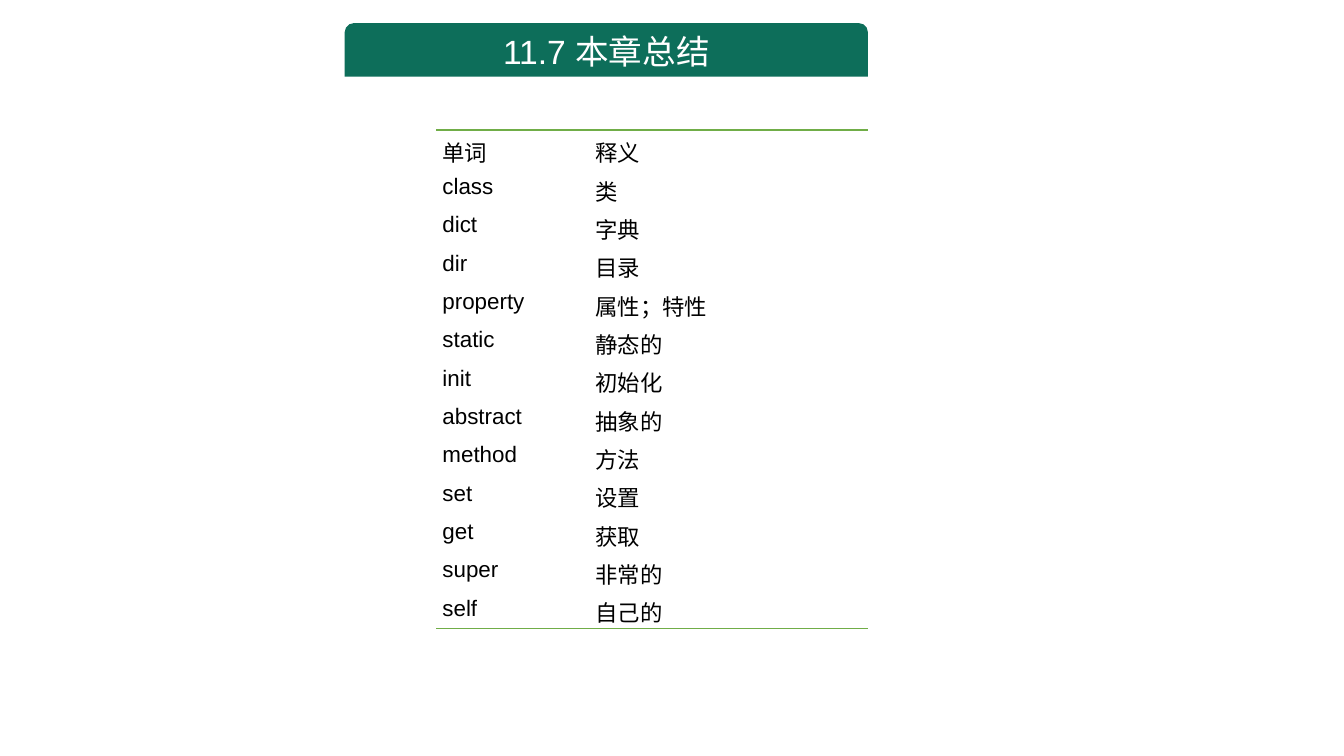
from lxml.etree import SubElement
from pptx import Presentation
from pptx.dml.color import RGBColor
from pptx.enum.shapes import MSO_SHAPE
from pptx.enum.text import MSO_ANCHOR, PP_ALIGN
from pptx.oxml.ns import qn
from pptx.util import Inches, Pt

PLAIN = "{2D5ABB26-0587-4C30-8999-92F81FD0307C}"
WORDS = [
    ("单词", "释义"),
    ("class", "类"),
    ("dict", "字典"),
    ("dir", "目录"),
    ("property", "属性；特性"),
    ("static", "静态的"),
    ("init", "初始化"),
    ("abstract", "抽象的"),
    ("method", "方法"),
    ("set", "设置"),
    ("get", "获取"),
    ("super", "非常的"),
    ("self", "自己的"),
]


def color(code):
    return RGBColor.from_string(code)


def write(frame, text, size, code, align=PP_ALIGN.LEFT):
    para = frame.paragraphs[0]
    para.alignment = align
    run = para.add_run()
    run.text = text
    run.font.size = Pt(size)
    run.font.name = "Arial"
    run.font.color.rgb = color(code)


def border(cell, side, code):
    props = cell._tc.get_or_add_tcPr()
    line = SubElement(props, qn(f"a:{side}"), w=str(Pt(1)))
    fill = SubElement(line, qn("a:solidFill"))
    SubElement(fill, qn("a:srgbClr"), val=code)
    props.insert(0, line)


def title(slide, left, top, width, height):
    bar = slide.shapes.add_shape(
        MSO_SHAPE.ROUND_2_SAME_RECTANGLE,
        Inches(left), Inches(top), Inches(width), Inches(height))
    bar.shadow.inherit = False
    bar.fill.solid()
    bar.fill.fore_color.rgb = color("0D6E5A")
    bar.line.fill.background()
    bar.text_frame.vertical_anchor = MSO_ANCHOR.MIDDLE
    write(bar.text_frame, "11.7 本章总结", 24, "FFFFFF", PP_ALIGN.CENTER)


def glossary(slide, left, top, width, height):
    table = slide.shapes.add_table(
        len(WORDS), 2,
        Inches(left), Inches(top), Inches(width), Inches(height)).table
    table.first_row = False
    table.horz_banding = False
    table._tbl.tblPr.find(qn("a:tableStyleId")).text = PLAIN
    table.columns[0].width = Inches(1.52)
    table.columns[1].width = Inches(width - 1.52)
    for index, pair in enumerate(WORDS):
        table.rows[index].height = Inches(height / len(WORDS))
        for col, word in enumerate(pair):
            cell = table.cell(index, col)
            cell.margin_left = cell.margin_right = Inches(0.06)
            cell.margin_top = Inches(0.06)
            cell.margin_bottom = 0
            cell.fill.background()
            write(cell.text_frame, word, 16, "000000")
            if index == 0:
                border(cell, "lnT", "70AD47")
            if index == len(WORDS) - 1:
                border(cell, "lnB", "70AD47")


def main():
    deck = Presentation()
    deck.slide_width = Inches(40 / 3)
    deck.slide_height = Inches(7.5)
    slide = deck.slides.add_slide(deck.slide_layouts[6])
    title(slide, 3.42, 0.23, 5.19, 0.53)
    glossary(slide, 4.33, 1.29, 4.28, 4.91)
    deck.save("out.pptx")


if __name__ == "__main__":
    main()
